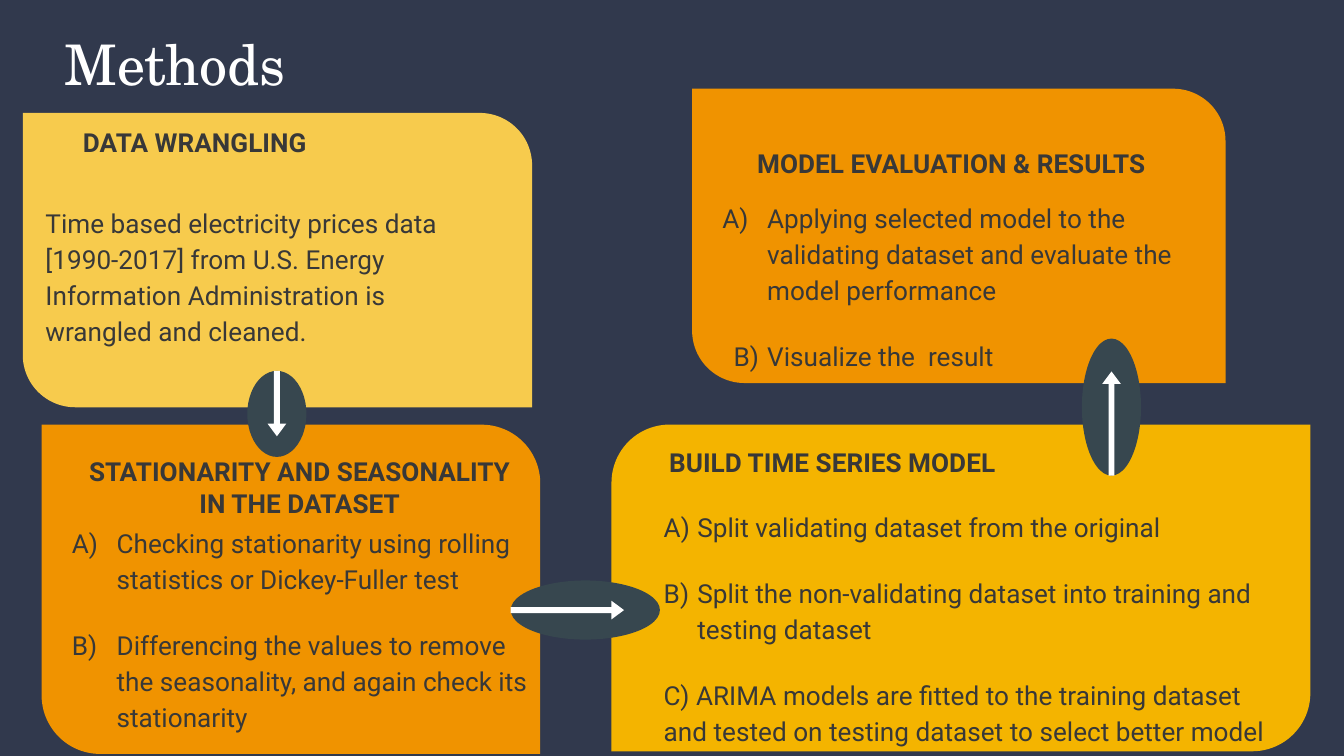
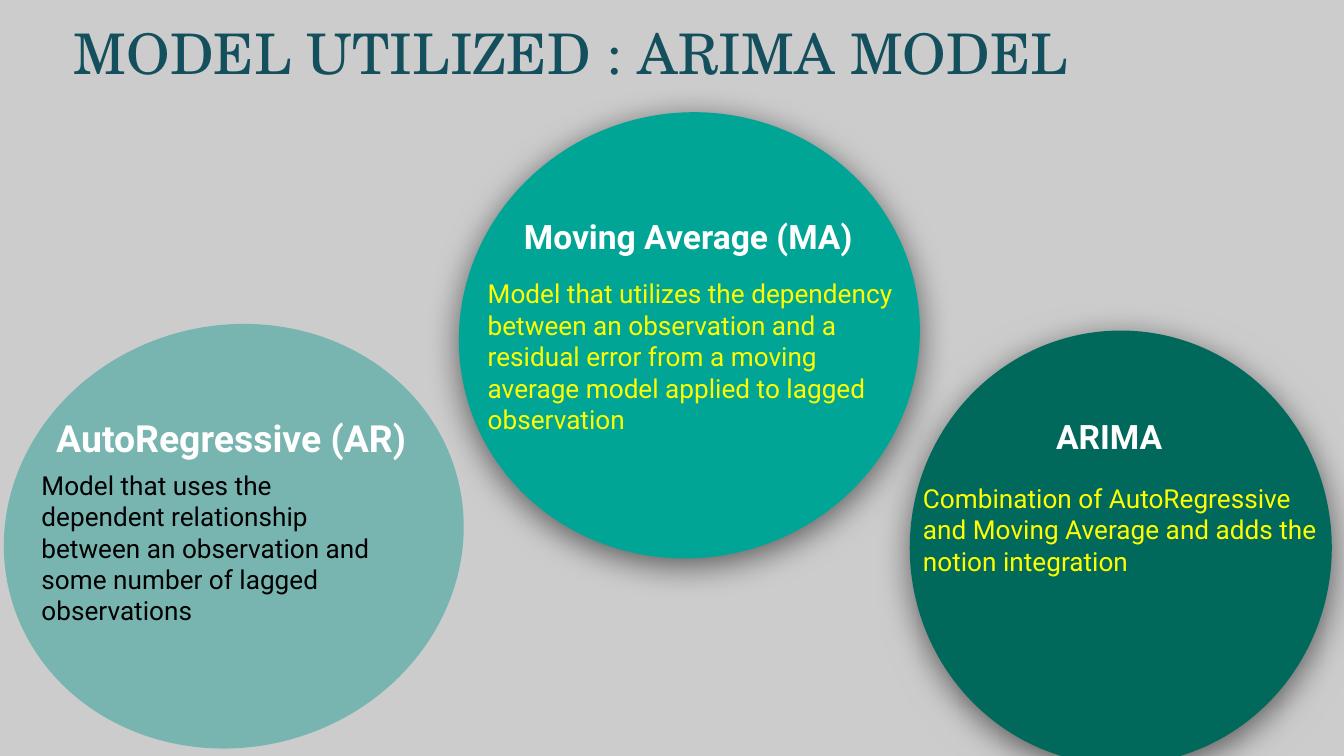
from lxml import etree
from pptx import Presentation
from pptx.dml.color import RGBColor
from pptx.enum.shapes import MSO_SHAPE
from pptx.enum.text import MSO_ANCHOR, PP_ALIGN
from pptx.oxml.ns import qn
from pptx.util import Pt

BOX = MSO_SHAPE.ROUND_2_DIAG_RECTANGLE
OVAL = MSO_SHAPE.OVAL
RIGHT, DOWN, UP = MSO_SHAPE.RIGHT_ARROW, MSO_SHAPE.DOWN_ARROW, MSO_SHAPE.UP_ARROW
TOP, MID, LOW = MSO_ANCHOR.TOP, MSO_ANCHOR.MIDDLE, MSO_ANCHOR.BOTTOM
LEFT, CENTER = PP_ALIGN.LEFT, PP_ALIGN.CENTER

COLORS = {
    "navy": "31394D", "gray": "CCCCCC", "ink": "383838", "slate": "37474F",
    "white": "FFFFFF", "black": "000000", "lemon": "FFFF00", "petrol": "134F5C",
    "gold": "F4B400", "sand": "F7CB4D", "orange": "F09300",
    "pine": "00695C", "teal": "00A595", "mint": "009688",
}
SANS, SERIF = "Roboto", "TeX Gyre Schola"
ROUND = 0.178
ARROW_PART = 0.76   # arrow length as a share of its oval
ARROW_WIDE = 10


def rgb(name):
    return RGBColor.from_string(COLORS[name])


def add_node(parent, tag, **attrs):
    node = etree.SubElement(parent, qn(tag))
    for key, value in attrs.items():
        node.set(key, str(value))
    return node


def add_slide(deck, back):
    slide = deck.slides.add_slide(deck.slide_layouts[6])
    slide.background.fill.solid()
    slide.background.fill.fore_color.rgb = rgb(back)
    return slide


def add_form(slide, kind, place, fill, adjust=(), turn=0):
    form = slide.shapes.add_shape(kind, *map(Pt, place))
    form.shadow.inherit = False
    form.fill.solid()
    form.fill.fore_color.rgb = rgb(fill)
    form.line.fill.background()
    form.rotation = turn
    for i, value in enumerate(adjust):
        form.adjustments[i] = value
    return form


def number_item(para, color):
    """Number a paragraph as A), B), C)."""
    props = para._p.get_or_add_pPr()
    add_node(add_node(props, "a:buClr"), "a:srgbClr", val=COLORS[color])
    add_node(props, "a:buAutoNum", type="alphaUcParenR")


def add_text(slide, place, items, size=14, color="ink", font=SANS, bold=False,
             align=LEFT, anchor=TOP, lines=None, after=0):
    """Items are a string, or (text, left, hang) rows; a row with hang is numbered."""
    frame = slide.shapes.add_textbox(*map(Pt, place)).text_frame
    frame.word_wrap = True
    frame.vertical_anchor = anchor
    frame.margin_left = frame.margin_right = Pt(7.2)
    frame.margin_top = frame.margin_bottom = Pt(7.2)
    rows = [(items, 0, 0)] if isinstance(items, str) else items
    for i, (text, left, hang) in enumerate(rows):
        para = frame.add_paragraph() if i else frame.paragraphs[0]
        para.alignment = align
        if lines:
            para.line_spacing = lines
        para.space_after = Pt(after)
        props = para._p.get_or_add_pPr()
        props.set("marL", str(Pt(left)))
        props.set("indent", str(Pt(-hang)))
        if hang:
            number_item(para, color)
        run = para.add_run()
        run.text = text
        run.font.size = Pt(size)
        run.font.name = font
        run.font.bold = bold
        run.font.color.rgb = rgb(color)


def add_title(slide, place, text, color):
    add_text(slide, place, text, size=30, color=color, font=SERIF, anchor=LOW)


def add_step(slide, place, fill, head, head_at, body, body_at,
             align=LEFT, corners=(0, ROUND)):
    add_form(slide, BOX, place, fill, corners)
    add_text(slide, head_at, head, bold=True, align=align)
    add_text(slide, body_at, body, lines=1.15, after=16)


def add_link(slide, place, kind):
    """Draw an oval with an arrow that starts at its edge."""
    add_form(slide, OVAL, place, "slate")
    x, y, w, h = place
    if kind == RIGHT:
        spot = (x, y + (h - ARROW_WIDE) / 2, w * ARROW_PART, ARROW_WIDE)
    else:
        size = h * ARROW_PART
        top = y + h - size if kind == UP else y
        spot = (x + (w - ARROW_WIDE) / 2, top, ARROW_WIDE, size)
    add_form(slide, kind, spot, "white", (0.32, 0.67))


def add_glow(form):
    """Give a shape a soft shadow below it."""
    effects = form.element.spPr.find(qn("a:effectLst"))
    shade = add_node(effects, "a:outerShdw", blurRad=Pt(18), dist=Pt(4),
                     dir=90 * 60000, algn="ctr", rotWithShape=0)
    color = add_node(shade, "a:srgbClr", val=COLORS["black"])
    add_node(color, "a:alpha", val=55000)


def fade(form, percent):
    color = form.element.spPr.find(qn("a:solidFill")).find(qn("a:srgbClr"))
    add_node(color, "a:alpha", val=percent * 1000)


def add_label(slide, head, head_at, body, body_at, size=18, color="lemon"):
    add_text(slide, head_at, head, size=size, color="white", bold=True, anchor=MID)
    add_text(slide, body_at, body, color=color, anchor=MID)


def build_methods(deck):
    slide = add_slide(deck, "navy")
    add_title(slide, (27.4, 7.9, 167.8, 51.1), "Methods", "white")
    add_step(slide, (327.6, 227.5, 374.4, 175), "gold",
             "BUILD TIME SERIES MODEL", (351.4, 231.8, 330.5, 37.4),
             [("Split validating dataset from the original", 36, 18),
              ("Split the non-validating dataset into training and testing dataset",
               36, 18),
              ("C) ARIMA models are fitted to the training dataset and tested on "
               "testing dataset to select better model", 18, 0)],
             (330.5, 264.2, 360.7, 126), corners=(ROUND, 0))
    add_step(slide, (12.2, 60.5, 272.9, 157.7), "sand",
             "DATA WRANGLING", (37.4, 60.5, 203.8, 23.8),
             "Time based electricity prices data [1990-2017] from U.S. Energy "
             "Information Administration is wrangled and cleaned.",
             (17.3, 101.5, 228.2, 114.5))
    add_step(slide, (370.8, 47.5, 285.8, 157.7), "orange",
             "MODEL EVALUATION & RESULTS", (372.2, 72, 275, 32.4),
             [("Applying selected model to the validating dataset and evaluate the "
               "model performance", 36, 24),
              ("Visualize the  result", 36, 18)],
             (367.9, 98.6, 292.3, 97.9), align=CENTER)
    add_step(slide, (22.3, 227.5, 267.1, 176.4), "orange",
             "STATIONARITY AND SEASONALITY IN THE DATASET",
             (32.4, 236.9, 256.3, 36),
             [("Checking stationarity using rolling statistics or Dickey-Fuller test",
               36, 24),
              ("Differencing the values to remove the seasonality, and again check "
               "its stationarity", 36, 24)],
             (19.4, 272.9, 272.9, 121.7), align=CENTER)
    add_link(slide, (132.5, 198.7, 31.7, 46.1), DOWN)
    add_link(slide, (273.6, 311, 79.9, 31.7), RIGHT)
    add_link(slide, (579.6, 181.4, 31.7, 73.4), UP)


def build_model(deck):
    slide = add_slide(deck, "gray")
    add_title(slide, (32.4, 13.7, 606.2, 39.6),
              "MODEL UTILIZED : ARIMA MODEL", "petrol")
    add_glow(add_form(slide, OVAL, (487.4, 177.1, 226.1, 232.6), "pine"))
    add_glow(add_form(slide, OVAL, (245.5, 60.5, 247.7, 238.3), "teal", turn=343.8))
    fade(add_form(slide, OVAL, (12.2, 163.4, 226.1, 247.7), "mint", turn=255.5), 41)
    add_label(slide, "ARIMA", (558.7, 216, 105.1, 35.3),
              "Combination of AutoRegressive and Moving Average and adds the "
              "notion integration", (487.4, 227.5, 226.1, 112.3))
    add_label(slide, "AutoRegressive (AR)", (23, 216, 203.8, 36.7),
              "Model that uses the dependent relationship between an observation "
              "and some number of lagged observations",
              (15.1, 250.6, 195.1, 85.7), size=20, color="black")
    add_label(slide, "Moving Average (MA)", (273.6, 106.6, 198.7, 39.6),
              "Model that utilizes the dependency between an observation and a "
              "residual error from a moving average model applied to lagged "
              "observation", (254.2, 144.7, 239.8, 92.2))


def main():
    deck = Presentation()
    deck.slide_width, deck.slide_height = Pt(720), Pt(405)
    build_methods(deck)
    build_model(deck)
    deck.save("out.pptx")


if __name__ == "__main__":
    main()
